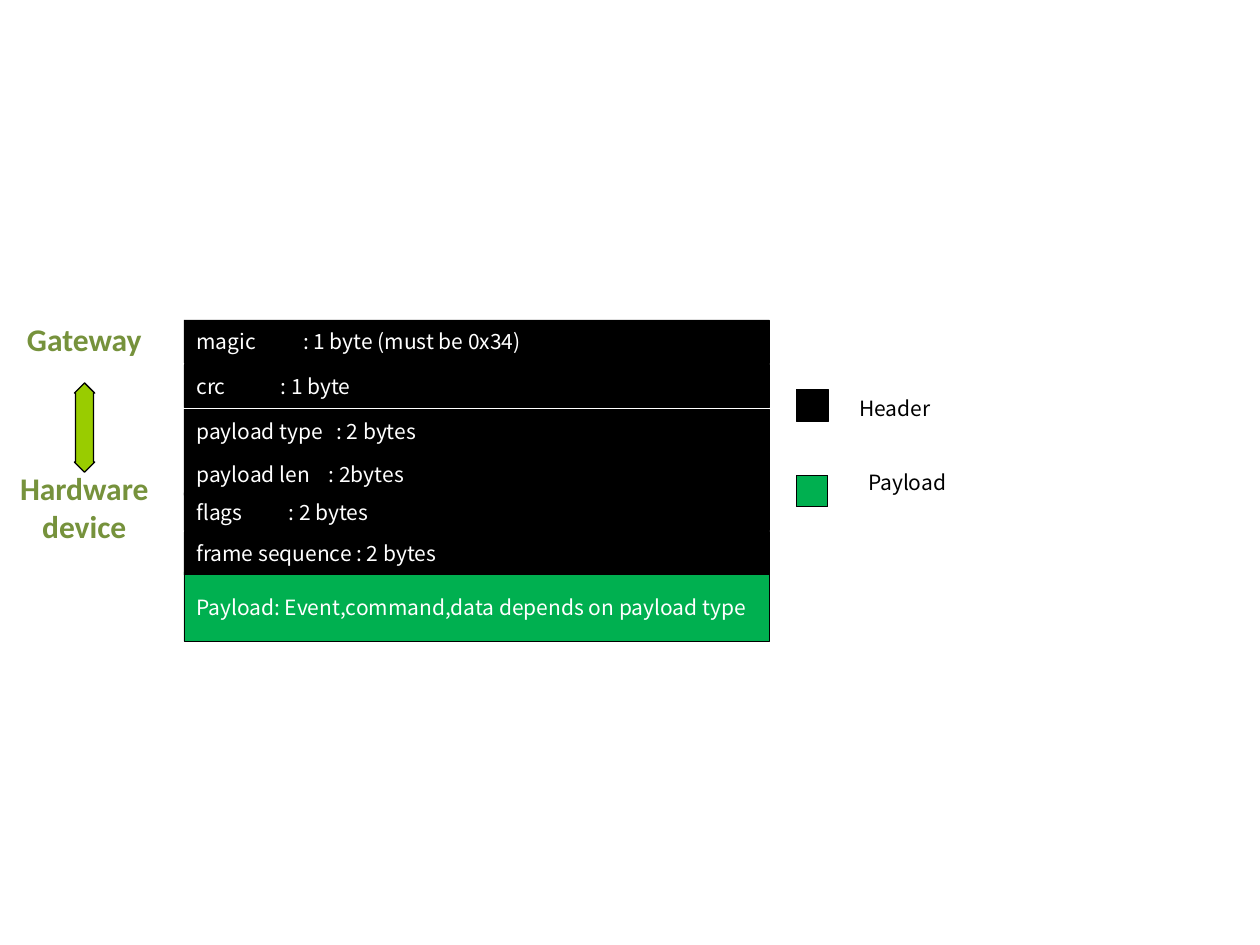
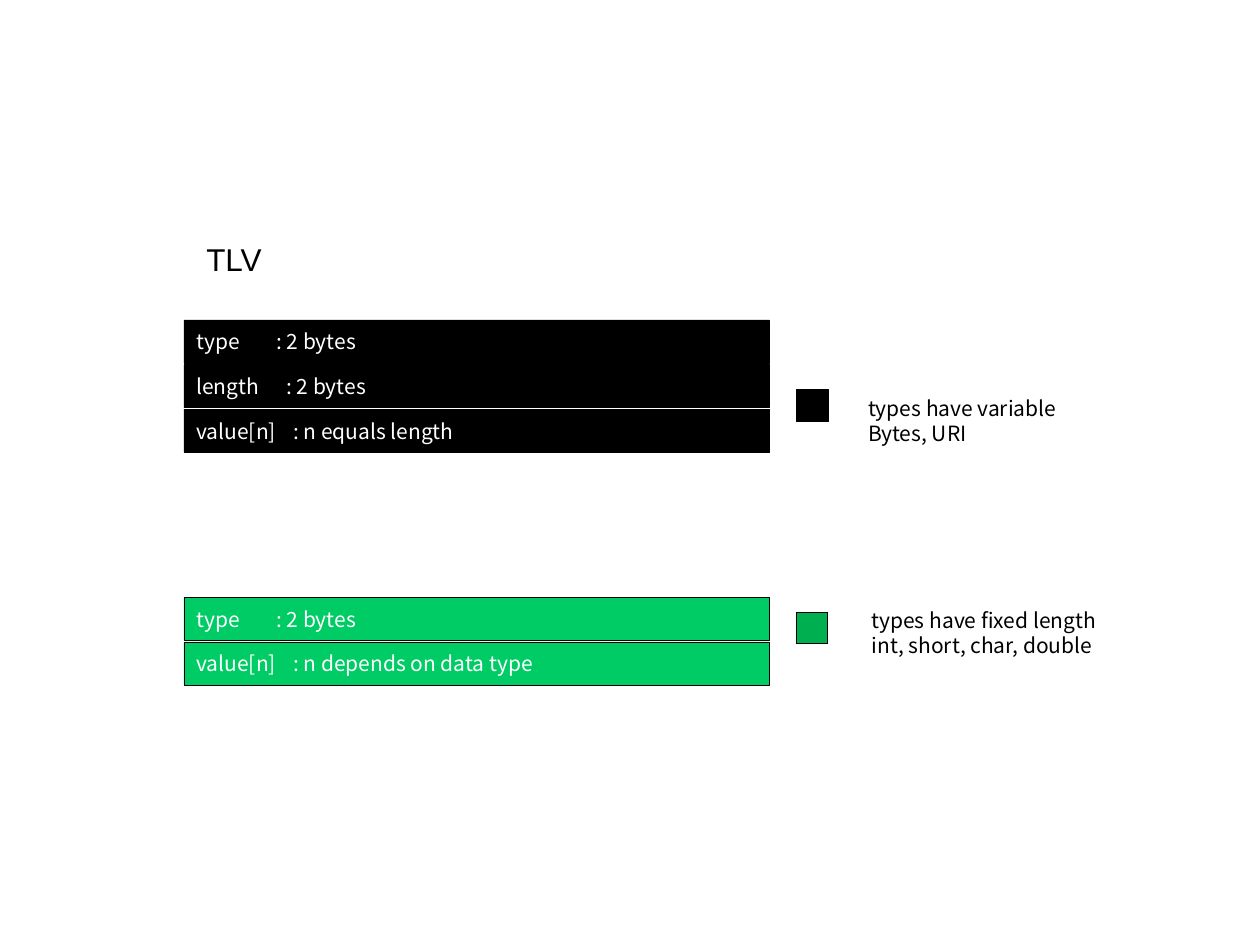
from pptx import Presentation
from pptx.dml.color import RGBColor
from pptx.enum.shapes import MSO_SHAPE
from pptx.enum.text import MSO_ANCHOR, MSO_AUTO_SIZE, PP_ALIGN
from pptx.oxml.ns import qn
from pptx.util import Cm, Pt
from lxml import etree

RECTANGLE = MSO_SHAPE.RECTANGLE
DOUBLE_ARROW = MSO_SHAPE.UP_DOWN_ARROW
MIDDLE, TOP = MSO_ANCHOR.MIDDLE, MSO_ANCHOR.TOP
LEFT, CENTER = PP_ALIGN.LEFT, PP_ALIGN.CENTER
FIT_SHAPE = MSO_AUTO_SIZE.SHAPE_TO_FIT_TEXT

# Colours and fonts
BLACK, WHITE = "000000", "FFFFFF"
GREEN, LIGHT_GREEN = "00B050", "00CC66"
LIME, OLIVE = "99CC00", "76923C"
BODY_FONT = "Noto Sans CJK SC"

# Shared places, in centimetres
FIELD_LEFT, FIELD_WIDTH = 3.71, 11.8
FIELD_TOP, FIELD_PITCH, FIELD_HEIGHT = 6.45, 0.9, 0.87
KEY_LEFT, KEY_SIZE, KEY_TOP = 16.05, 0.64, 7.85


def color(value):
    return RGBColor.from_string(value)


def write(shape, text, font=BODY_FONT, size=12, ink=BLACK, bold=False,
          align=LEFT, anchor=TOP, tab=None, gaps=()):
    """Write one paragraph a line; gaps gives the space before each, in points."""
    frame = shape.text_frame
    frame.vertical_anchor = anchor
    for index, line in enumerate(text.split("\n")):
        paragraph = frame.paragraphs[0] if index == 0 else frame.add_paragraph()
        paragraph.alignment = align
        if gaps:
            paragraph.space_before = Pt(gaps[index])
        run = paragraph.add_run()
        run.text = line
        run.font.name, run.font.size, run.font.bold = font, Pt(size), bold
        run.font.color.rgb = color(ink)
        if tab:
            stops = etree.SubElement(paragraph._p.get_or_add_pPr(), qn("a:tabLst"))
            etree.SubElement(stops, qn("a:tab"), pos=str(Cm(tab)), algn="l")


class Deck:
    def __init__(self):
        self.presentation = Presentation()
        self.presentation.slide_width = Cm(25.4)
        self.presentation.slide_height = Cm(19.05)
        self.slide = None

    def new_slide(self):
        layout = self.presentation.slide_layouts[6]
        self.slide = self.presentation.slides.add_slide(layout)

    def shape(self, kind, left, top, width, height, fill, line=0.25):
        shape = self.slide.shapes.add_shape(
            kind, Cm(left), Cm(top), Cm(width), Cm(height))
        shape.shadow.inherit = False
        shape.fill.solid()
        shape.fill.fore_color.rgb = color(fill)
        shape.line.color.rgb = color(BLACK)
        shape.line.width = Pt(line)
        return shape

    def field(self, text, top, height=FIELD_HEIGHT, fill=BLACK, line=0.25, tab=None):
        shape = self.shape(RECTANGLE, FIELD_LEFT, top, FIELD_WIDTH, height, fill, line)
        write(shape, text, ink=WHITE, anchor=MIDDLE, tab=tab)

    def fields(self, rows, top, fill=BLACK):
        """Stack equally spaced fields, each with its own tab for the size."""
        for index, (text, tab) in enumerate(rows):
            self.field(text, top + index * FIELD_PITCH, fill=fill, tab=tab)

    def text(self, text, left, top, width, height, wrap=False, **style):
        box = self.slide.shapes.add_textbox(Cm(left), Cm(top), Cm(width), Cm(height))
        box.text_frame.word_wrap = wrap
        box.text_frame.auto_size = FIT_SHAPE
        write(box, text, **style)

    def key(self, text, top, fill, line, label_left, label_top, width, height):
        self.shape(RECTANGLE, KEY_LEFT, top, KEY_SIZE, KEY_SIZE, fill, line)
        self.text(text, label_left, label_top, width, height)


def build_frame_slide(deck):
    deck.new_slide()

    # Frame layout
    deck.fields([("magic\t: 1 byte (must be 0x34)", 2.15),
                 ("crc\t: 1 byte", 1.7),
                 ("payload type\t: 2 bytes", 2.82)], FIELD_TOP)
    deck.field("payload len\t: 2bytes", 9.12, tab=2.67)
    deck.field("flags\t: 2 bytes", 9.93, 0.77, line=0.5, tab=1.86)
    deck.field("Payload: Event,command,data depends on payload type",
               11.53, 1.4, GREEN, 0.5)
    deck.field("frame sequence : 2 bytes", 10.72, line=0.5)

    # Key
    deck.key("Header", KEY_TOP, BLACK, 0.25, 17.07, 7.85, 1.96, 0.77)
    deck.key("Payload", 9.58, GREEN, 0.5, 17.25, 9.35, 2.11, 0.77)

    # Both ends of the link
    deck.text("Gateway\nHardware\ndevice", 0.1, 6.32, 3.2, 7.11, wrap=True,
              font="Calibri", size=18, ink=OLIVE, bold=True, align=CENTER,
              gaps=(0, 64, 0))
    arrow = deck.shape(DOUBLE_ARROW, 1.5, 7.72, 0.41, 1.8, LIME, 0.75)
    arrow.adjustments[0], arrow.adjustments[1] = 0.5, 0.88


def build_tlv_slide(deck):
    deck.new_slide()
    deck.text("TLV", 3.91, 4.72, 1.68, 1.02, font="Arial", size=18)

    # Variable and fixed length layouts
    deck.fields([("type\t: 2 bytes", 1.61),
                 ("length\t: 2 bytes", 1.81),
                 ("value[n]\t: n equals length", 1.95)], FIELD_TOP)
    deck.fields([("type\t: 2 bytes", 1.61),
                 ("value[n]\t: n depends on data type", 1.95)], 12.04, LIGHT_GREEN)

    # Key
    deck.key("types have variable\nBytes, URI",
             KEY_TOP, BLACK, 0.25, 17.25, 7.85, 4.32, 1.27)
    deck.key("types have fixed length\nint, short, char, double",
             12.34, GREEN, 0.5, 17.32, 12.12, 5.11, 1.27)


def main():
    deck = Deck()
    build_frame_slide(deck)
    build_tlv_slide(deck)
    deck.presentation.save("out.pptx")


if __name__ == "__main__":
    main()
